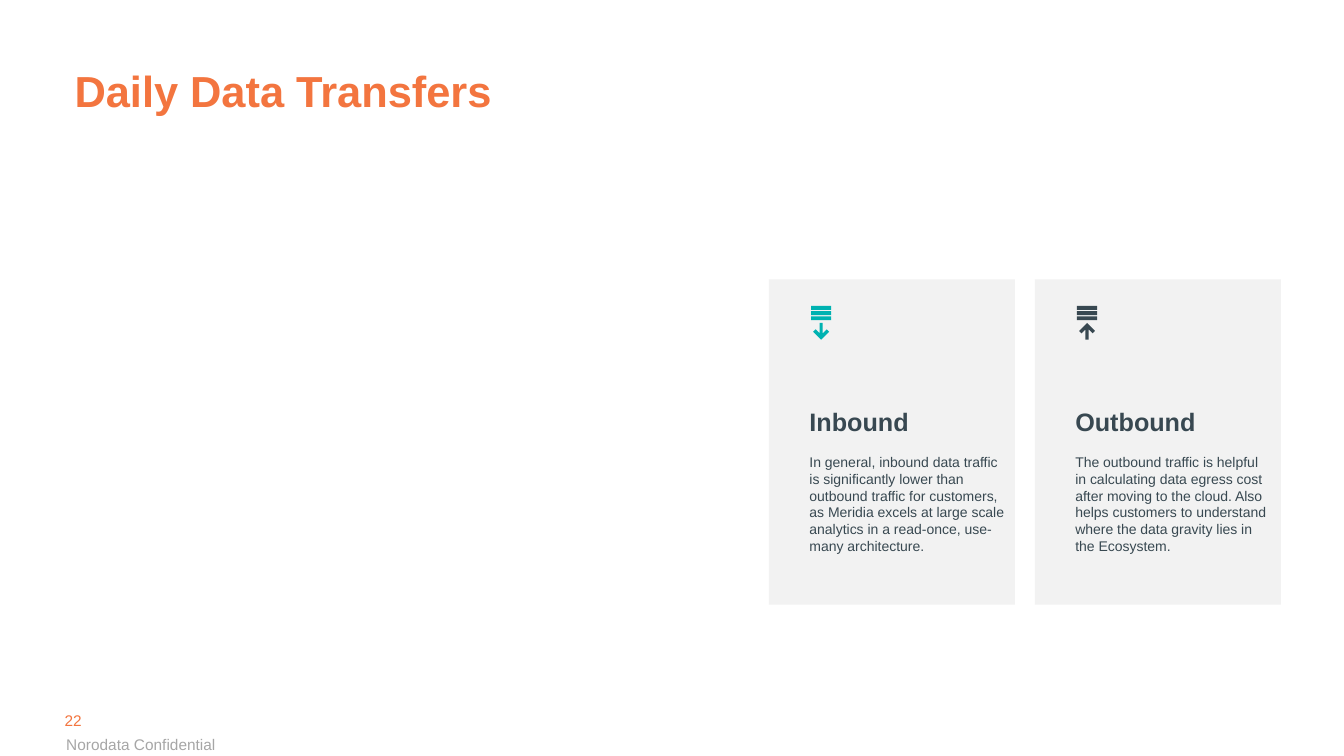
from dataclasses import dataclass

from pptx import Presentation
from pptx.dml.color import RGBColor
from pptx.enum.shapes import MSO_SHAPE as Kind
from pptx.enum.text import MSO_ANCHOR as Anchor, PP_ALIGN as Align
from pptx.shapes.autoshape import Shape
from pptx.slide import Slide
from pptx.text.text import TextFrame, _Paragraph as Para
from pptx.util import Cm, Pt

ORANGE = RGBColor(0xF3, 0x75, 0x3F)
GRAY = RGBColor(0xA6, 0xA6, 0xA6)
PALE = RGBColor(0xF2, 0xF2, 0xF2)
SLATE = RGBColor(0x38, 0x48, 0x51)
TEAL = RGBColor(0x00, 0xB2, 0xB1)

# Card grid and icon sizes, in centimetres
LEFT, TOP, WIDE, HIGH, STEP = 19.38, 7.04, 6.2, 8.2, 6.7
BAR_W, BAR_H, BAR_STEP = 0.51, 0.1, 0.13
ARROW_H = 0.42
ARROW = [(0.04, 0), (-0.04, 0), (-0.04, 0.26), (-0.14, 0.16), (-0.2, 0.22),
         (0, ARROW_H), (0.2, 0.22), (0.14, 0.16), (0.04, 0.26)]


@dataclass
class Label:
    text: str
    box: tuple[float, float, float, float]
    size: float
    color: RGBColor
    pad: tuple[float, float] = (0.25, 0.13)
    bold: bool = False
    wrap: bool = False
    anchor: Anchor = Anchor.TOP
    space: float = 1.0


@dataclass
class Card:
    head: str
    body: str
    color: RGBColor
    down: bool


LABELS = [
    Label("22", (1.63, 17.91, 0.48, 0.48), 11, ORANGE, pad=(0, 0)),
    Label("Norodata Confidential", (1.42, 18.39, 4.27, 0.74), 11, GRAY),
    Label("Daily Data Transfers", (1.63, 1.09, 29.21, 1.98), 31, ORANGE,
          bold=True, wrap=True, anchor=Anchor.BOTTOM, space=0.9),
]
CARDS = [
    Card("Inbound",
         "In general, inbound data traffic is significantly lower than "
         "outbound traffic for customers, as Meridia excels at large scale "
         "analytics in a read-once, use-many architecture.", TEAL, True),
    Card("Outbound",
         "The outbound traffic is helpful in calculating data egress cost "
         "after moving to the cloud. Also helps customers to understand "
         "where the data gravity lies in the Ecosystem.", SLATE, False),
]


def add_run(para: Para, text: str, size: float, color: RGBColor,
            bold: bool) -> None:
    run = para.add_run()
    run.text = text
    font = run.font
    font.name, font.size, font.bold = "Arial", Pt(size), bold
    font.color.rgb = color


def set_pad(frame: TextFrame, left: float, top: float, right: float,
            base: float) -> None:
    frame.margin_left, frame.margin_top = Cm(left), Cm(top)
    frame.margin_right, frame.margin_bottom = Cm(right), Cm(base)


def paint(shape: Shape, color: RGBColor) -> None:
    shape.shadow.inherit = False
    shape.fill.solid()
    shape.fill.fore_color.rgb = color
    shape.line.fill.background()


def add_rect(slide: Slide, x: float, y: float, w: float, h: float,
             color: RGBColor) -> Shape:
    rect = slide.shapes.add_shape(Kind.RECTANGLE, Cm(x), Cm(y), Cm(w), Cm(h))
    paint(rect, color)
    return rect


def draw_label(slide: Slide, label: Label) -> None:
    box = slide.shapes.add_textbox(*(Cm(n) for n in label.box))
    frame = box.text_frame
    frame.word_wrap = label.wrap
    frame.vertical_anchor = label.anchor
    set_pad(frame, *label.pad, *label.pad)
    para = frame.paragraphs[0]
    para.line_spacing = label.space
    add_run(para, label.text, label.size, label.color, label.bold)


def draw_icon(slide: Slide, x: float, y: float, card: Card) -> None:
    # Stack of three bars
    for i in range(3):
        add_rect(slide, x, y + i * BAR_STEP, BAR_W, BAR_H, card.color)
    # Arrow below the stack
    mid, top = x + BAR_W / 2, y + 0.43
    dots = [(Cm(mid + dx), Cm(top + (dy if card.down else ARROW_H - dy)))
            for dx, dy in ARROW]
    pen = slide.shapes.build_freeform(*dots[0])
    pen.add_line_segments(dots[1:], close=True)
    paint(pen.convert_to_shape(), card.color)


def draw_card(slide: Slide, x: float, card: Card) -> None:
    frame = add_rect(slide, x, TOP, WIDE, HIGH, PALE).text_frame
    frame.word_wrap = True
    frame.vertical_anchor = Anchor.BOTTOM
    set_pad(frame, 1.02, 0, 0.25, 1.27)
    head, body = frame.paragraphs[0], frame.add_paragraph()
    for para in (head, body):
        para.alignment = Align.LEFT
        para.space_before = para.space_after = Pt(6)
    add_run(head, card.head, 18, SLATE, True)
    add_run(body, card.body, 10, SLATE, False)
    draw_icon(slide, x + 1.06, TOP + 0.67, card)


def main() -> None:
    deck = Presentation()
    deck.slide_width, deck.slide_height = Cm(33.87), Cm(19.05)
    slide = deck.slides.add_slide(deck.slide_layouts[6])
    # Title and footer
    for label in LABELS:
        draw_label(slide, label)
    # Traffic cards
    for i, card in enumerate(CARDS):
        draw_card(slide, LEFT + i * STEP, card)
    deck.save("out.pptx")


if __name__ == "__main__":
    main()
